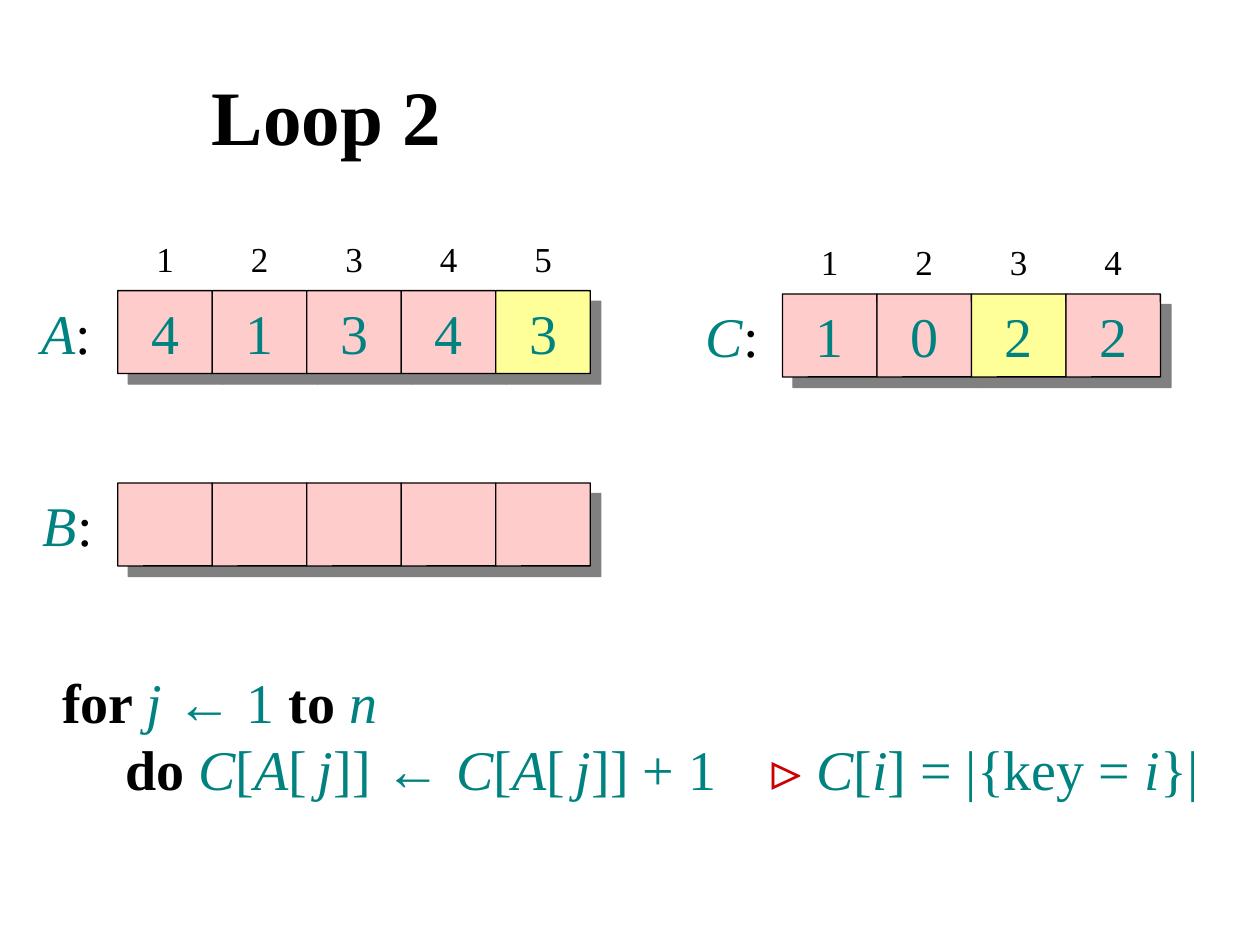
from lxml.etree import SubElement
from pptx import Presentation
from pptx.dml.color import RGBColor
from pptx.enum.shapes import MSO_SHAPE
from pptx.enum.text import MSO_ANCHOR, MSO_AUTO_SIZE, PP_ALIGN
from pptx.oxml.ns import qn
from pptx.util import Pt

SERIF, SANS = "Times New Roman", "Arial"
BLACK, TEAL, RED, GRAY = "000000", "008380", "CC0000", "808080"
PINK, YELLOW = "FFCCCC", "FFFF99"
CELL_WIDTH, CELL_HEIGHT = 54, 47.4
LABEL_WIDTH = 46

# Run styles: colour, bold, italic, font, size
KEYWORD = (BLACK, True, False, SERIF, 32)
VARIABLE = (TEAL, False, True, SERIF, 32)
SYMBOL = (TEAL, False, False, SERIF, 32)
ARROW = (TEAL, False, False, SANS, 32)
THIN = (TEAL, False, False, SERIF, 24)
COLON = (BLACK, False, False, SERIF, 32)
COMMENT = (RED, False, False, SERIF, 32)


def color(value):
    return RGBColor.from_string(value)


class ArraySlide:
    """Holds the current slide and draws arrays and pseudocode on it."""

    def __init__(self, presentation):
        self.slide = presentation.slides.add_slide(presentation.slide_layouts[5])

    def title(self, text, left, top, width, height):
        shape = self.slide.shapes.title
        shape.left, shape.top, shape.width, shape.height = map(Pt, (left, top, width, height))
        frame = shape.text_frame
        frame.vertical_anchor = MSO_ANCHOR.MIDDLE
        frame.text = text
        paragraph = frame.paragraphs[0]
        paragraph.alignment = PP_ALIGN.LEFT
        paragraph.line_spacing = 0.9
        self.font(paragraph.font, BLACK, True, False, SERIF, 44)

    def font(self, font, fill, bold, italic, name, size):
        font.name, font.size, font.bold, font.italic = name, Pt(size), bold, italic
        font.color.rgb = color(fill)

    def runs(self, paragraph, parts):
        for text, style in parts:
            run = paragraph.add_run()
            run.text = text
            self.font(run.font, *style)

    def text_box(self, shapes, left, top, width, height, alignment, wrap=False):
        frame = shapes.add_textbox(Pt(left), Pt(top), Pt(width), Pt(height)).text_frame
        frame.word_wrap = wrap
        frame.auto_size = MSO_AUTO_SIZE.SHAPE_TO_FIT_TEXT
        frame.paragraphs[0].alignment = alignment
        return frame

    def number(self, shapes, text, center, top, width, height, fill, size):
        frame = self.text_box(shapes, center - width / 2, top, width, height, PP_ALIGN.CENTER)
        paragraph = frame.paragraphs[0]
        paragraph.add_run().text = text
        self.font(paragraph.font, fill, False, False, SERIF, size)
        return frame

    def cell(self, shapes, left, top, fill):
        shape = shapes.add_shape(MSO_SHAPE.ROUNDED_RECTANGLE, Pt(left), Pt(top),
                                 Pt(CELL_WIDTH), Pt(CELL_HEIGHT))
        shape.adjustments[0] = 0.003
        shape.fill.solid()
        shape.fill.fore_color.rgb = color(fill)
        shape.line.color.rgb = color(BLACK)
        shape.line.width = Pt(0.75)
        # Hard shadow, down and to the right
        shape.shadow.inherit = False
        effects = shape._element.spPr.find(qn("a:effectLst"))
        shadow = SubElement(effects, qn("a:outerShdw"), dist=str(Pt(8.5)),
                            dir=str(45 * 60000), algn="ctr", rotWithShape="0")
        SubElement(shadow, qn("a:srgbClr"), val=GRAY)

    def array(self, name, label_right, left, top, values, active=None, indexed=True):
        shapes = self.slide.shapes
        label = self.text_box(shapes, label_right - LABEL_WIDTH, top + 0.7,
                              LABEL_WIDTH, 46, PP_ALIGN.RIGHT)
        self.runs(label.paragraphs[0], [(name, VARIABLE), (":", COLON)])
        for index, value in enumerate(values, start=1):
            cell_left = left + (index - 1) * CELL_WIDTH
            center = cell_left + CELL_WIDTH / 2
            container = shapes.add_group_shape().shapes if value else shapes
            self.cell(container, cell_left, top, YELLOW if index == active else PINK)
            if value:
                frame = self.number(container, value, center, top + 0.7, 30, 46, TEAL, 32)
                frame.vertical_anchor = MSO_ANCHOR.MIDDLE
            if indexed:
                self.number(shapes, str(index), center, top - 34, 24.5, 31.5, BLACK, 20)

    def code(self, lines, left, top, width, height):
        frame = self.text_box(self.slide.shapes, left, top, width, height, PP_ALIGN.LEFT, True)
        for level, parts in enumerate(lines):
            paragraph = frame.add_paragraph() if level else frame.paragraphs[0]
            paragraph.level = level
            properties = paragraph._p.get_or_add_pPr()
            properties.set("marL", str(Pt(36 * level)))
            properties.set("indent", "0")
            tabs = SubElement(properties, qn("a:tabLst"))
            for inch in range(8):
                SubElement(tabs, qn("a:tab"), pos=str(Pt(72 * inch)), algn="l")
            self.runs(paragraph, parts)


def main():
    presentation = Presentation()
    presentation.slide_width, presentation.slide_height = Pt(720), Pt(540)
    page = ArraySlide(presentation)
    page.title("Loop 2", 113.8, 23.8, 594, 90)

    # Input, output and counter arrays
    page.array("A", 59, 67.3, 166.1, "41343", active=5)
    page.array("B", 60, 67.3, 276, [""] * 5, indexed=False)
    page.array("C", 440.6, 447.1, 168, "1022", active=3)

    # Pseudocode
    element = [("C", VARIABLE), ("[", SYMBOL), ("A", VARIABLE), ("[", SYMBOL),
               (" ", THIN), ("j", VARIABLE)]
    page.code([
        [("for ", KEYWORD), ("j ", VARIABLE), ("←", ARROW), (" 1 ", SYMBOL),
         ("to ", KEYWORD), ("n", VARIABLE)],
        [("do ", KEYWORD), *element, ("]] ", SYMBOL), ("← ", ARROW),
         *element, ("]] + 1\t ", SYMBOL), ("⊳ ", COMMENT),
         ("C", VARIABLE), ("[", SYMBOL), ("i", VARIABLE), ("] = |{key = ", SYMBOL),
         ("i", VARIABLE), ("}|", SYMBOL)],
    ], 28.5, 378, 691.5, 84.5)

    presentation.save("out.pptx")


if __name__ == "__main__":
    main()
